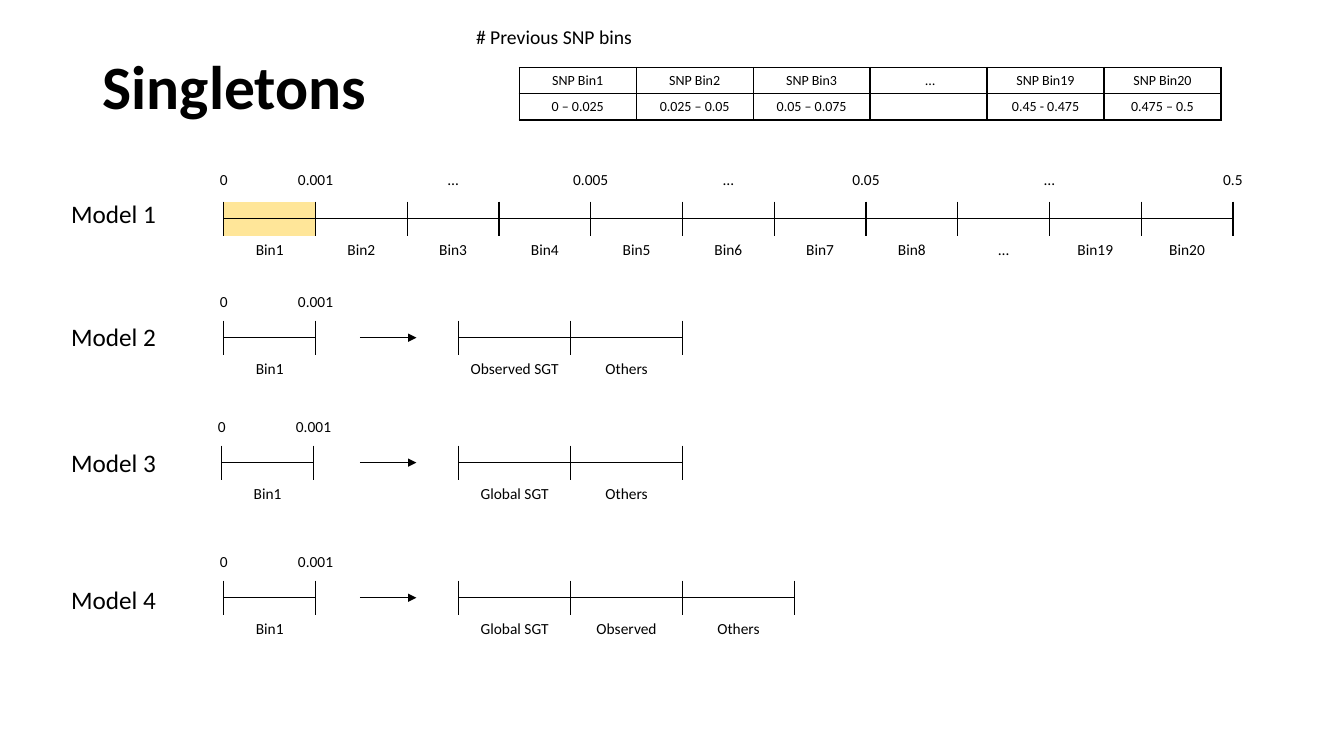
from lxml import etree
from pptx import Presentation
from pptx.dml.color import RGBColor
from pptx.enum.shapes import MSO_CONNECTOR
from pptx.enum.text import MSO_ANCHOR, PP_ALIGN
from pptx.oxml.ns import qn
from pptx.util import Inches, Pt

STRAIGHT = MSO_CONNECTOR.STRAIGHT
MIDDLE, TOP = MSO_ANCHOR.MIDDLE, MSO_ANCHOR.TOP
LEFT, CENTER = PP_ALIGN.LEFT, PP_ALIGN.CENTER
BLACK = RGBColor(0, 0, 0)
HIGHLIGHT = RGBColor(0xFF, 0xE6, 0x99)
FONT = "Calibri"

# Content
TITLE = "Singletons"
PREVIOUS_CAPTION = "# Previous SNP bins"
PREVIOUS_BINS = [
    ["SNP Bin1", "SNP Bin2", "SNP Bin3", " …", "SNP Bin19", "SNP Bin20"],
    ["0 – 0.025", "0.025 – 0.05", "0.05 – 0.075", "", "0.45 - 0.475", "0.475 – 0.5"],
]
MODEL_1_BINS = ["Bin1", "Bin2", "Bin3", "Bin4", "Bin5", "Bin6", "Bin7", "Bin8",
                "…", "Bin19", "Bin20"]
# Scale label and the number of bins it spans
MODEL_1_SCALE = [("0", 1), ("0.001", 1), ("…", 2), ("0.005", 1), ("…", 2),
                 ("0.05", 1), ("", 1), ("…", 1), ("", 1), ("0.5", 1)]
FIRST_BIN = ["Bin1"]
FIRST_BIN_SCALE = [("0", 1), ("0.001", 1)]
# Name, name top, ruler left, ruler top, groups the first bin is split into
SPLIT_MODELS = [
    ("Model 2", 3.14, 2.22, 3.18, ["Observed SGT", "Others"]),
    ("Model 3", 4.39, 2.2, 4.42, ["Global SGT", "Others"]),
    ("Model 4", 5.75, 2.22, 5.76, ["Global SGT", "Observed", "Others"]),
]

# Sizes in inches
BIN_W, GROUP_W, PREVIOUS_W = 0.907, 1.11, 1.16
BIN_W = round(BIN_W, 2)
TICK_H, BIN_LABEL_H, SCALE_H, PREVIOUS_H = 0.17, 0.4, 0.28, 0.26
GROUPS_X, ARROW_X, ARROW_END = 4.55, 3.57, 4.13

prs = Presentation()
prs.slide_width, prs.slide_height = Inches(13.33), Inches(7.5)
slide = prs.slides.add_slide(prs.slide_layouts[6])


def add_run(paragraph, text, size, bold=False):
    run = paragraph.add_run()
    run.text = text
    run.font.name, run.font.size, run.font.bold = FONT, Pt(size), bold
    run.font.color.rgb = BLACK


def add_label(text, x, y, w, h, size, bold=False, align=CENTER, wrap=False):
    frame = slide.shapes.add_textbox(Inches(x), Inches(y), Inches(w), Inches(h)).text_frame
    frame.word_wrap = wrap
    frame.vertical_anchor = MIDDLE
    frame.paragraphs[0].alignment = align
    add_run(frame.paragraphs[0], text, size, bold)


def set_borders(cell, sides):
    """Draw the named sides (L, R, T, B) and clear the others."""
    properties = cell._tc.get_or_add_tcPr()
    for side in "LRTB":
        border = etree.SubElement(properties, qn("a:ln" + side), w=str(Pt(1)))
        if side in sides:
            fill = etree.SubElement(border, qn("a:solidFill"))
            etree.SubElement(fill, qn("a:srgbClr"), val=str(BLACK))
        else:
            etree.SubElement(border, qn("a:noFill"))


def add_grid(rows, x, y, widths, heights, borders, size, anchor=TOP, shaded=()):
    """Add a table; borders holds the drawn sides of each row."""
    table = slide.shapes.add_table(len(rows), len(widths), Inches(x), Inches(y),
                                   Inches(sum(widths)), Inches(sum(heights))).table
    table.first_row = table.horz_banding = False
    for column, width in zip(table.columns, widths):
        column.width = Inches(width)
    for r, texts in enumerate(rows):
        table.rows[r].height = Inches(heights[r])
        for c, text in enumerate(texts):
            cell = table.cell(r, c)
            cell.vertical_anchor = anchor
            cell.margin_left = cell.margin_right = Inches(0.05)
            cell.margin_top = cell.margin_bottom = Inches(0.05 if anchor == TOP and text else 0.03)
            set_borders(cell, borders[r])
            if (r, c) in shaded:
                cell.fill.solid()
                cell.fill.fore_color.rgb = HIGHLIGHT
            else:
                cell.fill.background()
            paragraph = cell.text_frame.paragraphs[0]
            paragraph.alignment = CENTER
            if text:
                add_run(paragraph, text, size)
            else:
                # Small empty text keeps the tick rows low
                etree.SubElement(paragraph._p, qn("a:endParaRPr"), sz="400")


def add_ruler(bins, x, y, width, shaded=()):
    empty = [""] * len(bins)
    add_grid([empty, empty, bins], x, y, [width] * len(bins),
             [TICK_H, TICK_H, BIN_LABEL_H], ["LRB", "LRT", ""], 11, shaded=shaded)


def add_scale(marks, ruler_x, y):
    # Labels are centred on the ticks, half a bin left of the ruler cells
    add_grid([[text for text, _ in marks]], ruler_x - BIN_W / 2, y,
             [BIN_W * span for _, span in marks], [SCALE_H], [""], 11)


def add_arrow(y):
    arrow = slide.shapes.add_connector(STRAIGHT, Inches(ARROW_X), Inches(y),
                                       Inches(ARROW_END), Inches(y))
    arrow.line.color.rgb = BLACK
    arrow.line.width = Pt(0.5)
    etree.SubElement(arrow.line._get_or_add_ln(), qn("a:tailEnd"), type="triangle")
    etree.SubElement(arrow._element.spPr, qn("a:effectLst"))


# Heading and previous bins
add_label(TITLE, 0.92, 0.4, 11.5, 0.89, 44, bold=True, align=LEFT, wrap=True)
add_label(PREVIOUS_CAPTION, 4.59, 0.19, 1.81, 0.34, 14)
add_grid(PREVIOUS_BINS, 5.15, 0.67, [PREVIOUS_W] * len(PREVIOUS_BINS[0]),
         [PREVIOUS_H] * 2, ["LRTB"] * 2, 10, anchor=MIDDLE)

# Model 1: the full ruler
add_label("Model 1", 0.6, 1.92, 1.05, 0.4, 18)
add_ruler(MODEL_1_BINS, 2.22, 2, BIN_W, shaded=[(0, 0), (1, 0)])
add_scale(MODEL_1_SCALE, 2.22, 1.64)

# Models 2 to 4: the first bin split into groups
for name, name_y, ruler_x, ruler_y, groups in SPLIT_MODELS:
    add_label(name, 0.6, name_y, 1.05, 0.4, 18)
    add_ruler(FIRST_BIN, ruler_x, ruler_y, BIN_W)
    add_scale(FIRST_BIN_SCALE, ruler_x, ruler_y - 0.33)
    add_arrow(ruler_y + TICK_H)
    add_ruler(groups, GROUPS_X, ruler_y, GROUP_W)

prs.save("out.pptx")
